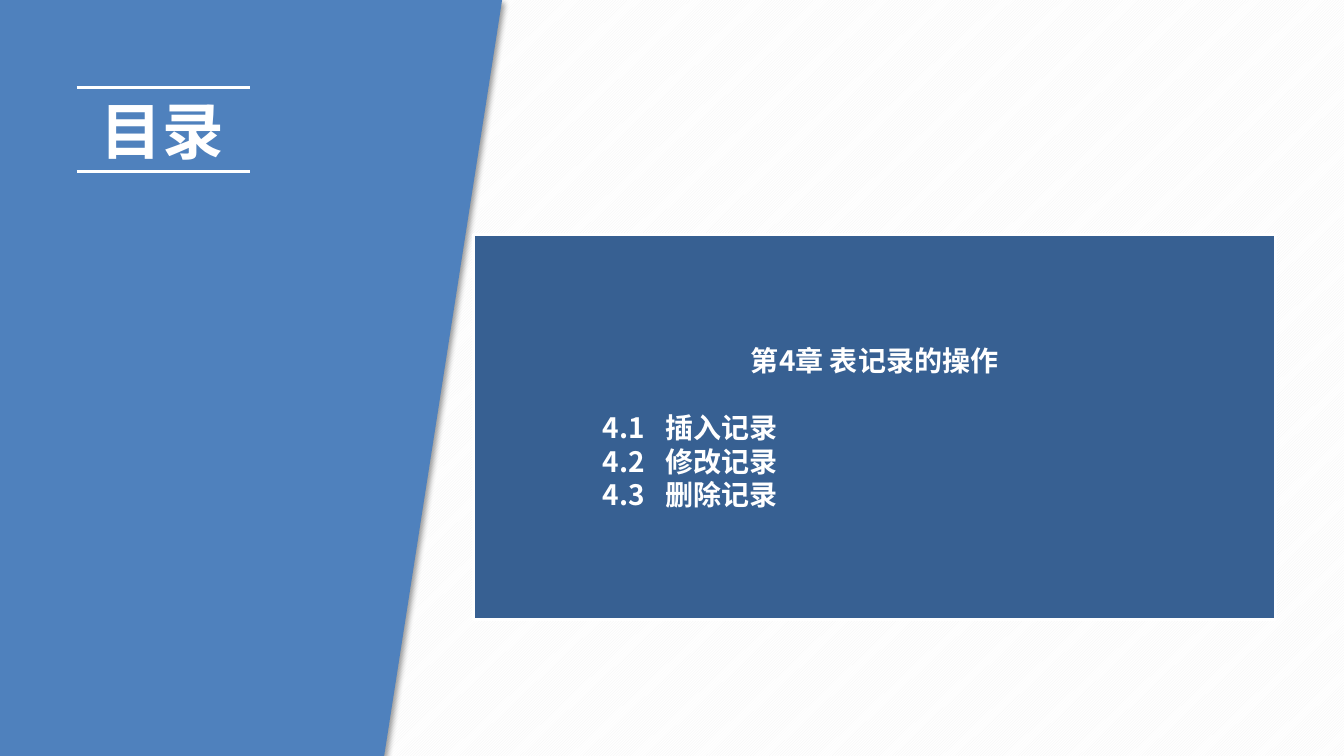
from lxml import etree
from pptx import Presentation
from pptx.dml.color import RGBColor
from pptx.enum.dml import MSO_PATTERN
from pptx.enum.shapes import MSO_CONNECTOR, MSO_SHAPE
from pptx.enum.text import MSO_ANCHOR, MSO_AUTO_SIZE, PP_ALIGN
from pptx.oxml import parse_xml
from pptx.oxml.ns import nsdecls, qn
from pptx.util import Inches, Pt

FONT = "Noto Sans CJK SC"
WHITE = RGBColor(0xFF, 0xFF, 0xFF)
STRIPE = RGBColor(0xF2, 0xF2, 0xF2)
PANEL_BLUE = RGBColor(0x4F, 0x81, 0xBD)
CHAPTER_BLUE = RGBColor(0x37, 0x60, 0x92)

CHAPTER = "第4章 表记录的操作"
SECTIONS = [("4.1", "插入记录"), ("4.2", "修改记录"), ("4.3", "删除记录")]


def style_paragraph(para, size, align):
    para.alignment = align
    para.font.size = Pt(size)
    para.font.bold = True
    para.font.name = FONT
    para.font.color.rgb = WHITE
    # East Asian glyphs take their own typeface element
    latin = para.font._element.find(qn("a:latin")) if hasattr(para.font, "_element") else para.font._rPr.find(qn("a:latin"))
    east_asian = etree.Element(qn("a:ea"), typeface=FONT)
    latin.addnext(east_asian)


def set_background(page):
    fill = page.background.fill
    fill.patterned()
    fill.pattern = MSO_PATTERN.DARK_UPWARD_DIAGONAL
    fill.fore_color.rgb = STRIPE
    fill.back_color.rgb = WHITE


def add_slanted_panel(page):
    builder = page.shapes.build_freeform(0, 0, scale=1.0)
    corners = [(4.98, 0), (3.81, 7.5), (0, 7.5)]
    builder.add_line_segments([(Inches(x), Inches(y)) for x, y in corners], close=True)
    panel = builder.convert_to_shape()
    panel.fill.solid()
    panel.fill.fore_color.rgb = PANEL_BLUE
    panel.line.fill.background()
    # Soft shadow along the slanted edge
    panel._element.spPr.append(parse_xml(
        f'<a:effectLst {nsdecls("a")}>'
        f'<a:outerShdw blurRad="{Pt(4)}" dist="{Pt(3)}" dir="2700000" algn="tl" rotWithShape="0">'
        '<a:srgbClr val="000000"><a:alpha val="40000"/></a:srgbClr>'
        '</a:outerShdw></a:effectLst>'))


def add_title(page, text):
    title = page.shapes.title
    title.left, title.top = Inches(0.9), Inches(0.87)
    title.width, title.height = Inches(2.77), Inches(0.84)
    frame = title.text_frame
    frame.text = text
    frame.word_wrap = True
    frame.auto_size = MSO_AUTO_SIZE.SHAPE_TO_FIT_TEXT
    frame.vertical_anchor = MSO_ANCHOR.TOP
    style_paragraph(frame.paragraphs[0], 44, PP_ALIGN.LEFT)


def add_rule(page, y):
    rule = page.shapes.add_connector(
        MSO_CONNECTOR.STRAIGHT, Inches(0.76), Inches(y), Inches(2.48), Inches(y))
    rule.line.color.rgb = WHITE
    rule.line.width = Pt(2)
    etree.SubElement(rule._element.spPr, qn("a:effectLst"))


def add_chapter_box(page):
    box = page.shapes.add_shape(
        MSO_SHAPE.RECTANGLE, Inches(4.7), Inches(2.33), Inches(7.95), Inches(3.82))
    box.shadow.inherit = False
    box.fill.solid()
    box.fill.fore_color.rgb = CHAPTER_BLUE
    box.line.color.rgb = WHITE
    box.line.width = Pt(2.25)

    frame = box.text_frame
    frame.word_wrap = True
    frame.vertical_anchor = MSO_ANCHOR.MIDDLE
    heading = frame.paragraphs[0]
    heading.text = CHAPTER
    heading.space_after = Pt(24)
    style_paragraph(heading, 20, PP_ALIGN.CENTER)

    # Section names line up on a hanging indent after their numbers
    for number, name in SECTIONS:
        para = frame.add_paragraph()
        para.text = f"{number}\t{name}"
        style_paragraph(para, 20, PP_ALIGN.LEFT)
        properties = para._p.get_or_add_pPr()
        properties.set("marL", str(Inches(1.8)))
        properties.set("indent", str(-Inches(0.62)))


def main():
    deck = Presentation()
    deck.slide_width, deck.slide_height = Inches(13.33), Inches(7.5)
    page = deck.slides.add_slide(deck.slide_layouts.get_by_name("Title Only"))
    set_background(page)

    # Left panel with the title between two rules
    add_slanted_panel(page)
    add_title(page, "目录")
    for y in (0.87, 1.7):
        add_rule(page, y)

    # Chapter contents
    add_chapter_box(page)

    # Bring the title in front of the panel
    panel = page.shapes[1]._element
    page.shapes.title._element.addprevious(panel)
    deck.save("out.pptx")


if __name__ == "__main__":
    main()
